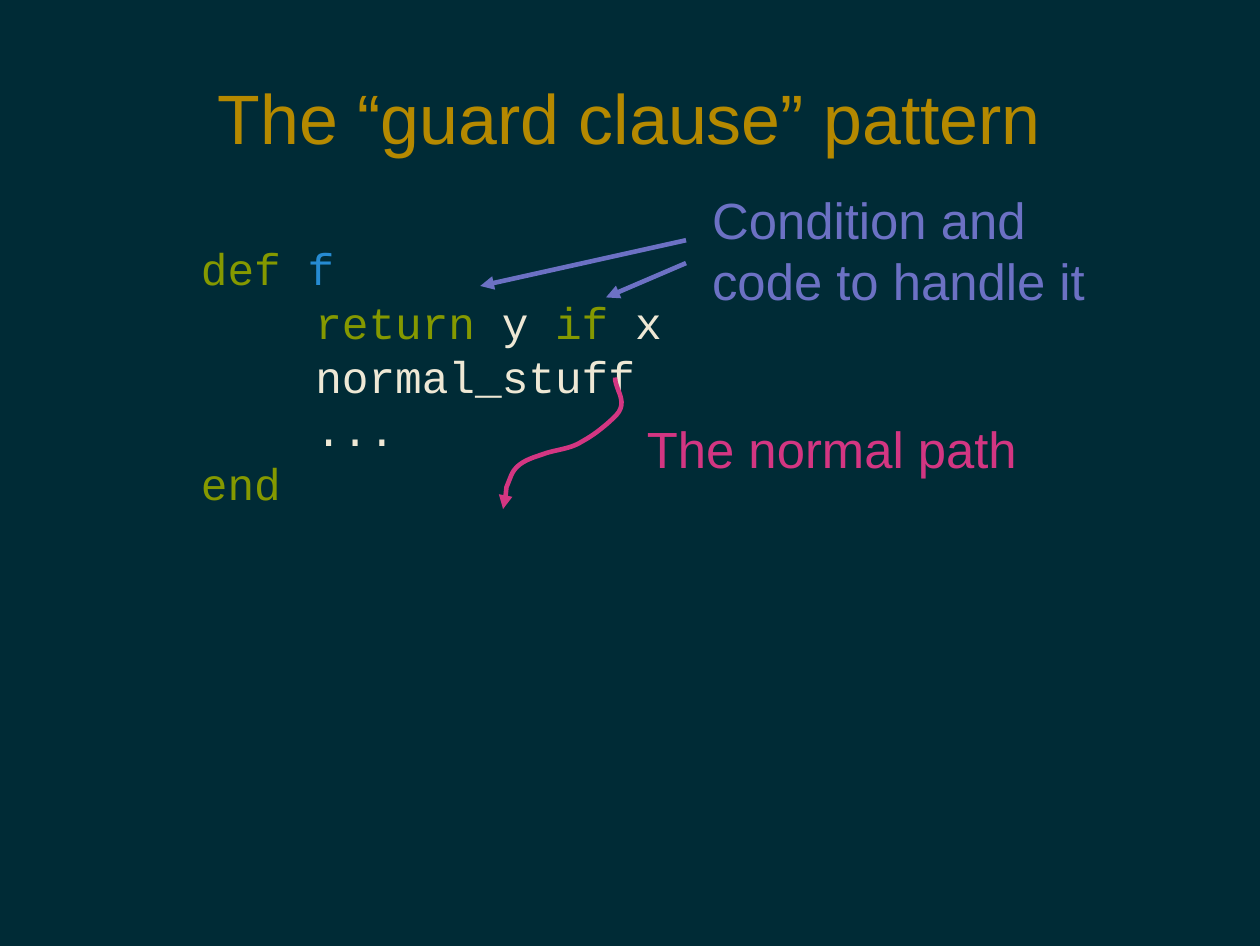
import pptx
import pptx.util
import pptx.dml.color
import pptx.enum.shapes
import pptx.enum.text
import pptx.oxml
import pptx.oxml.ns

PX = 9144
RGB = pptx.dml.color.RGBColor
BACKGROUND = RGB(0x00, 0x2B, 0x36)
YELLOW = RGB(0xB5, 0x89, 0x00)
GREEN = RGB(0x85, 0x99, 0x00)
BLUE = RGB(0x26, 0x8B, 0xD2)
CREAM = RGB(0xEE, 0xE8, 0xD5)
MAGENTA = RGB(0xD3, 0x36, 0x82)
VIOLET = RGB(0x6C, 0x71, 0xC4)
NS = pptx.oxml.ns.nsdecls("a")


def write_lines(tf, lines, font, size, spacing):
    for i, line in enumerate(lines):
        p = tf.paragraphs[0] if i == 0 else tf.add_paragraph()
        p.line_spacing = pptx.util.Pt(spacing)
        if any("\t" in text for text, color in line):
            p._p.get_or_add_pPr().append(pptx.oxml.parse_xml(
                f'<a:tabLst {NS}><a:tab pos="{100 * PX}" algn="l"/></a:tabLst>'))
        for text, color in line:
            r = p.add_run()
            r.text = text
            r.font.name = font
            r.font.size = pptx.util.Pt(size)
            r.font.color.rgb = color


def style_arrow(sp, color):
    sp.line.color.rgb = color
    sp.line.width = pptx.util.Pt(2.89)
    sp.line._get_or_add_ln().append(pptx.oxml.parse_xml(
        f'<a:tailEnd {NS} type="triangle"/>'))
    sp._element.spPr.append(pptx.oxml.parse_xml(f'<a:effectLst {NS}/>'))


prs = pptx.Presentation()
prs.slide_width, prs.slide_height = 1102 * PX, 827 * PX
s = prs.slides.add_slide(prs.slide_layouts[5])
s.background.fill.solid()
s.background.fill.fore_color.rgb = BACKGROUND

title = s.shapes.title
title.left, title.top, title.width, title.height = 55 * PX, 33 * PX, 992 * PX, 138 * PX
tf = title.text_frame
tf.margin_left = tf.margin_top = tf.margin_right = tf.margin_bottom = 0
tf.vertical_anchor = pptx.enum.text.MSO_ANCHOR.MIDDLE
p = tf.paragraphs[0]
p.alignment = pptx.enum.text.PP_ALIGN.CENTER
r = p.add_run()
r.text = "The “guard clause” pattern"
r.font.name = "Arial"
r.font.size = pptx.util.Pt(44)
r.font.color.rgb = YELLOW

code = s.shapes.add_textbox(166 * PX, 199 * PX, 770 * PX, 480 * PX)
code.text_frame.word_wrap = True
code.text_frame.margin_top = 12 * PX
write_lines(code.text_frame, [
    [("def ", GREEN), ("f", BLUE)],
    [("\t", CREAM), ("return", GREEN), (" y ", CREAM), ("if", GREEN), (" x", CREAM)],
    [("\tnormal_stuff", CREAM)],
    [("\t...", CREAM)],
    [("end", GREEN)],
], "Courier New", 28, 33.7)

curves = [
    [(538, 330), (538, 341), (550, 351), (539, 363)],
    [(539, 363), (530, 372), (520, 380), (509, 386)],
    [(509, 386), (500, 392), (488, 393), (478, 396)],
    [(478, 396), (467, 400), (452, 403), (447, 416)],
]
STEPS = 12
points = []
for curve in curves:
    for step in range(1, STEPS + 1):
        t = step / STEPS
        weights = [(1 - t) ** 3, 3 * t * (1 - t) ** 2, 3 * t ** 2 * (1 - t), t ** 3]
        points.append(tuple(PX * sum(w * pt[axis] for w, pt in zip(weights, curve))
                            for axis in (0, 1)))
points += [(x * PX, y * PX) for x, y in [(443, 426), (442, 436), (440, 445)]]
builder = s.shapes.build_freeform(538 * PX, 330 * PX)
builder.add_line_segments(points, close=False)
normal_path = builder.convert_to_shape()
normal_path.fill.background()
style_arrow(normal_path, MAGENTA)

notes = [
    (556, 360, 344, 60, MAGENTA, ["The normal path"]),
    (613, 160, 347, 110, VIOLET, ["Condition and", "code to handle it"]),
]
for x, y, w, h, color, lines in notes:
    note = s.shapes.add_textbox(x * PX, y * PX, w * PX, h * PX)
    note.text_frame.word_wrap = False
    write_lines(note.text_frame, [[(line, color)] for line in lines], "Arial", 32, 38.4)

for x1, y1, x2, y2 in [(600, 210, 420, 250), (600, 230, 530, 260)]:
    arrow = s.shapes.add_connector(pptx.enum.shapes.MSO_CONNECTOR.STRAIGHT,
                                   x1 * PX, y1 * PX, x2 * PX, y2 * PX)
    style_arrow(arrow, VIOLET)

prs.save("out.pptx")
